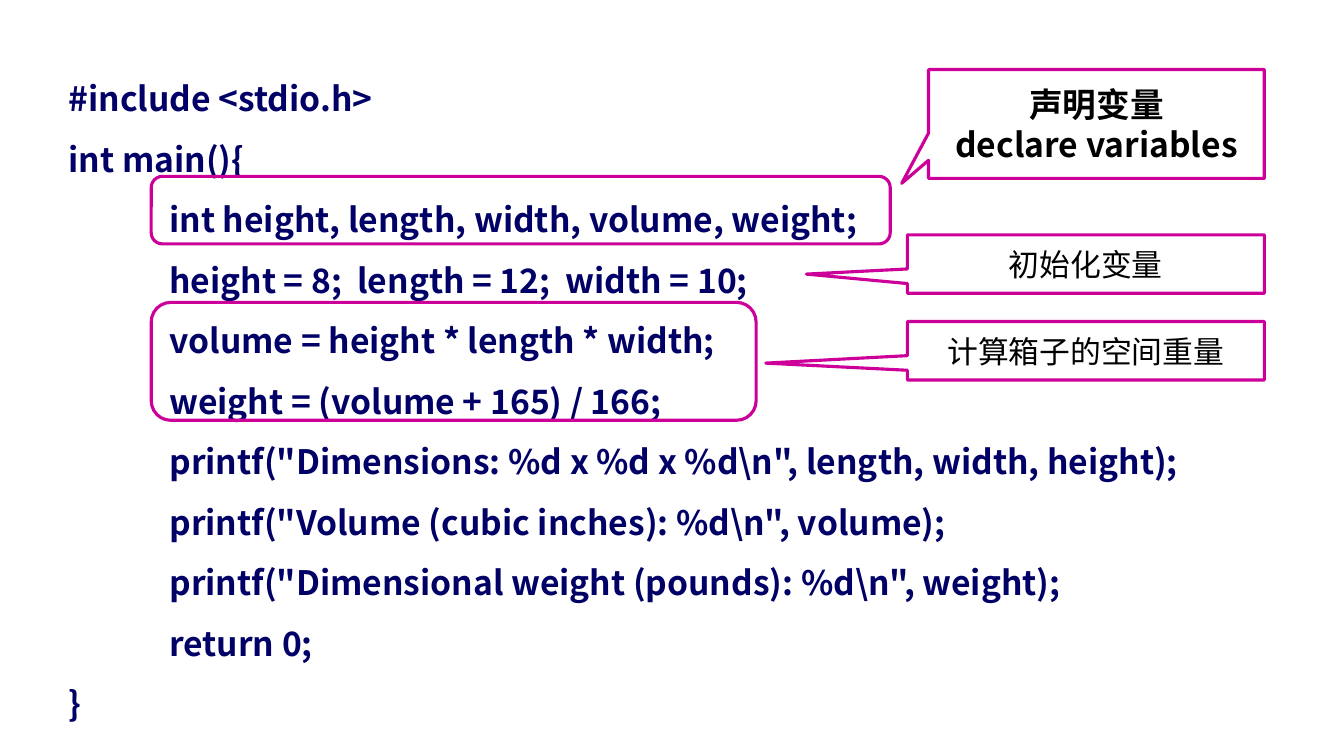
from dataclasses import dataclass

from lxml import etree
from pptx import Presentation
from pptx.dml.color import RGBColor
from pptx.enum import shapes, text
from pptx.oxml import ns
from pptx.util import Inches, Pt

NAVY = RGBColor(0x00, 0x00, 0x66)
PINK = RGBColor(0xCC, 0x00, 0x99)
BLACK = RGBColor(0x00, 0x00, 0x00)
FONT = "Noto Sans CJK SC"
FRAME = shapes.MSO_SHAPE.ROUNDED_RECTANGLE
CALL = shapes.MSO_SHAPE.RECTANGULAR_CALLOUT

CODE = (
    "#include <stdio.h>",
    "int main(){",
    "\tint height, length, width, volume, weight;",
    "\theight = 8;  length = 12;  width = 10;",
    "\tvolume = height * length * width;",
    "\tweight = (volume + 165) / 166;",
    r'	printf("Dimensions: %d x %d x %d\n", length, width, height);',
    r'	printf("Volume (cubic inches): %d\n", volume);',
    r'	printf("Dimensional weight (pounds): %d\n", weight);',
    "\treturn 0;",
    "}",
)


@dataclass
class Box:
    """An outlined shape; tip is the callout point relative to its centre."""
    kind: int
    left: float
    top: float
    width: float
    height: float
    tip: tuple[float, ...] = ()
    lines: tuple[str, ...] = ()
    size: float = 22
    bold: bool = False


# Each inner list is one note; several boxes are grouped
NOTES = [
    [Box(FRAME, 1.5, 1.75, 7.33, 0.67),
     Box(CALL, 9.21, 0.69, 3.33, 1.08, (-0.58, 0.545),
         ("声明变量", "declare variables"), 24, True)],
    [Box(CALL, 9, 2.33, 3.54, 0.58, (-0.783, 0.172), ("初始化变量",))],
    [Box(CALL, 9, 3.19, 3.54, 0.58, (-0.897, 0.211), ("计算箱子的空间重量",)),
     Box(FRAME, 1.5, 3, 6, 1.17)],
]


def write(para, words: str, *, size: float, color: RGBColor, bold: bool = False,
          align=text.PP_ALIGN.LEFT, space: float = 1.0, tab: float = 0) -> None:
    """Fill a paragraph; each newline becomes a line break."""
    para.text = words
    para.alignment = align
    para.line_spacing = space
    if tab:
        stops = etree.SubElement(para._p.get_or_add_pPr(), ns.qn("a:tabLst"))
        etree.SubElement(stops, ns.qn("a:tab"), pos=str(Inches(tab)), algn="l")
    for run in para.runs:
        font = run.font
        font.name, font.size, font.bold = FONT, Pt(size), bold
        font.color.rgb = color
        etree.SubElement(run._r.get_or_add_rPr(), ns.qn("a:ea"), typeface=FONT)
    # Breaks need the text size too, or they stretch the lines
    for gap in para._p.findall(ns.qn("a:br")):
        etree.SubElement(gap, ns.qn("a:rPr"), sz=str(int(size * 100)))


def draw(tree, box: Box) -> None:
    shape = tree.add_shape(box.kind, Inches(box.left), Inches(box.top),
                           Inches(box.width), Inches(box.height))
    shape.shadow.inherit = False
    shape.fill.background()
    shape.line.color.rgb = PINK
    shape.line.width = Pt(2.25)
    for i, value in enumerate(box.tip):
        shape.adjustments[i] = value
    frame = shape.text_frame
    frame.vertical_anchor = text.MSO_ANCHOR.MIDDLE
    for i, words in enumerate(box.lines):
        para = frame.add_paragraph() if i else frame.paragraphs[0]
        write(para, words, size=box.size, color=BLACK, bold=box.bold,
              align=text.PP_ALIGN.CENTER)


def main() -> None:
    deck = Presentation()
    deck.slide_width, deck.slide_height = Inches(13.33), Inches(7.5)
    slide = deck.slides.add_slide(deck.slide_layouts[5])

    # Program listing
    title = slide.shapes.title
    title.left, title.top = Inches(0.58), Inches(0.58)
    title.width, title.height = Inches(12.25), Inches(6.59)
    frame = title.text_frame
    frame.word_wrap = True
    frame.auto_size = text.MSO_AUTO_SIZE.NONE
    frame.vertical_anchor = text.MSO_ANCHOR.MIDDLE
    write(frame.paragraphs[0], "\n".join(CODE), size=24, color=NAVY, bold=True,
          space=1.5, tab=1)

    # Frames and callouts
    for note in NOTES:
        tree = slide.shapes.add_group_shape().shapes if len(note) > 1 else slide.shapes
        for box in note:
            draw(tree, box)

    deck.save("out.pptx")


if __name__ == "__main__":
    main()
